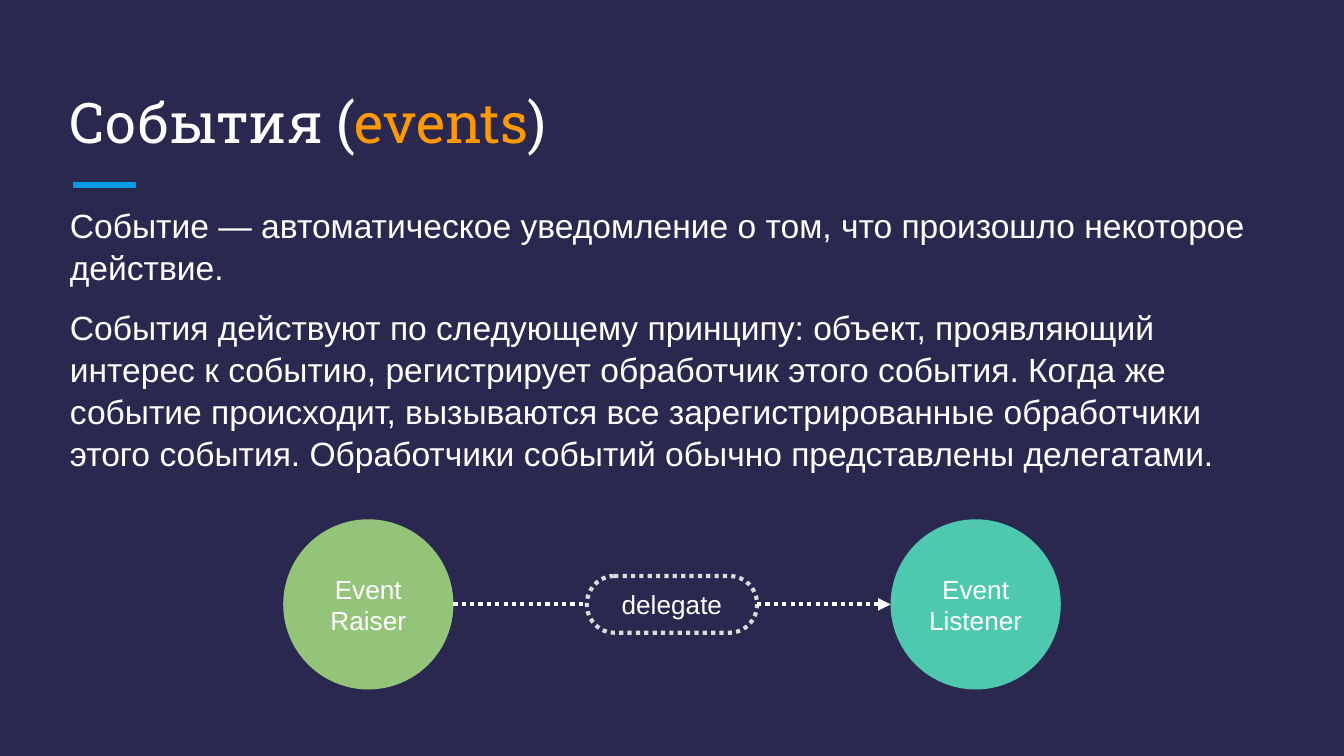
from dataclasses import dataclass

import lxml.etree
import pptx
import pptx.dml.color
import pptx.enum.dml
import pptx.enum.shapes
import pptx.enum.text
import pptx.oxml.ns
import pptx.util

Pt = pptx.util.Pt
SHAPES = pptx.enum.shapes.MSO_SHAPE
ANCHOR = pptx.enum.text.MSO_ANCHOR
ALIGN = pptx.enum.text.PP_ALIGN


@dataclass(frozen=True)
class Theme:
    background: str = "2A284F"
    text: str = "FFFFFF"
    highlight: str = "FF9900"
    rule: str = "039BE5"
    raiser: str = "93C479"
    listener: str = "4EC9B0"
    outline: str = "DCDCDC"
    heading_font: str = "Roboto Slab"
    body_font: str = "Arial"
    heading_size: float = 30
    body_size: float = 18
    label_size: float = 14
    dotted_width: float = 2.25
    rule_width: float = 3
    inset: float = 7.2


THEME = Theme()


def rgb(color):
    return pptx.dml.color.RGBColor.from_string(color)


def set_font(font, name, size):
    font.name = name
    font.size = Pt(size)
    font.color.rgb = rgb(THEME.text)


def set_frame(frame, anchor):
    frame.word_wrap = True
    frame.vertical_anchor = anchor
    frame.margin_left = frame.margin_right = Pt(THEME.inset)
    frame.margin_top = frame.margin_bottom = Pt(THEME.inset)


def add_text_frame(slide, box, anchor):
    frame = slide.shapes.add_textbox(*map(Pt, box)).text_frame
    set_frame(frame, anchor)
    return frame


def set_line(line, color, width, dotted=False):
    line.color.rgb = rgb(color)
    line.width = Pt(width)
    if dotted:
        line.dash_style = pptx.enum.dml.MSO_LINE.ROUND_DOT


def add_horizontal(slide, start, end, y, color, width, dotted=False, arrow=False):
    connector = slide.shapes.add_connector(
        pptx.enum.shapes.MSO_CONNECTOR.STRAIGHT, Pt(start), Pt(y), Pt(end), Pt(y))
    set_line(connector.line, color, width, dotted)
    properties = connector._element.spPr
    if arrow:
        lxml.etree.SubElement(
            properties.find(pptx.oxml.ns.qn("a:ln")),
            pptx.oxml.ns.qn("a:tailEnd"), type="triangle")
    lxml.etree.SubElement(properties, pptx.oxml.ns.qn("a:effectLst"))


def add_node(slide, kind, box, label, fill=None):
    node = slide.shapes.add_shape(kind, *map(Pt, box))
    node.shadow.inherit = False
    if fill:
        node.fill.solid()
        node.fill.fore_color.rgb = rgb(fill)
        node.line.fill.background()
    else:
        node.fill.background()
        set_line(node.line, THEME.outline, THEME.dotted_width, dotted=True)
    set_frame(node.text_frame, ANCHOR.MIDDLE)
    paragraph = node.text_frame.paragraphs[0]
    paragraph.text = label
    paragraph.alignment = ALIGN.CENTER
    set_font(paragraph.font, THEME.body_font, THEME.label_size)


def add_heading(slide, box):
    left, top, width, height = box
    paragraph = add_text_frame(slide, box, ANCHOR.BOTTOM).paragraphs[0]
    for words, color in (("События (", THEME.text),
                         ("events", THEME.highlight),
                         (")", THEME.text)):
        run = paragraph.add_run()
        run.text = words
        set_font(run.font, THEME.heading_font, THEME.heading_size)
        run.font.color.rgb = rgb(color)
    # Short accent rule under the heading
    start = left + 8.7
    add_horizontal(slide, start, start + 33.5, top + height + 9.2,
                   THEME.rule, THEME.rule_width)


def add_explanation(slide, box):
    frame = add_text_frame(slide, box, ANCHOR.TOP)
    texts = (
        "Событие — автоматическое уведомление о том, что произошло некоторое "
        "действие.",
        "События действуют по следующему принципу: объект, проявляющий "
        "интерес к событию, регистрирует обработчик этого события. Когда же "
        "событие происходит, вызываются все зарегистрированные обработчики "
        "этого события. Обработчики событий обычно представлены делегатами.",
    )
    for index, text in enumerate(texts):
        paragraph = frame.add_paragraph() if index else frame.paragraphs[0]
        paragraph.text = text
        paragraph.line_spacing = 1.04
        if index:
            paragraph.space_before = Pt(10)
        set_font(paragraph.font, THEME.body_font, THEME.body_size)


def add_event_flow(slide, box):
    left, top, width, diameter = box
    middle = top + diameter / 2
    right = left + width
    delegate_height = diameter / 3
    gap = (width - 3 * diameter) / 2
    delegate_left = left + diameter + gap

    # Event source, delegate and subscriber
    add_node(slide, SHAPES.OVAL, (left, top, diameter, diameter),
             "Event Raiser", THEME.raiser)
    add_node(slide, SHAPES.OVAL, (right - diameter, top, diameter, diameter),
             "Event Listener", THEME.listener)
    add_node(slide, SHAPES.FLOWCHART_TERMINATOR,
             (delegate_left, middle - delegate_height / 2, diameter, delegate_height),
             "delegate")

    # Dotted path through the delegate
    for start, arrow in ((left + diameter, False), (delegate_left + diameter, True)):
        add_horizontal(slide, start, start + gap, middle, THEME.text,
                       THEME.dotted_width, dotted=True, arrow=arrow)


def main():
    presentation = pptx.Presentation()
    presentation.slide_width = Pt(720)
    presentation.slide_height = Pt(405)
    slide = presentation.slides.add_slide(presentation.slide_layouts[6])
    slide.background.fill.solid()
    slide.background.fill.fore_color.rgb = rgb(THEME.background)

    add_heading(slide, (30.4, 36, 659, 54))
    add_explanation(slide, (30.4, 101.5, 659, 157.7))
    add_event_flow(slide, (151.7, 278.2, 416.6, 91.2))

    presentation.save("out.pptx")


if __name__ == "__main__":
    main()
